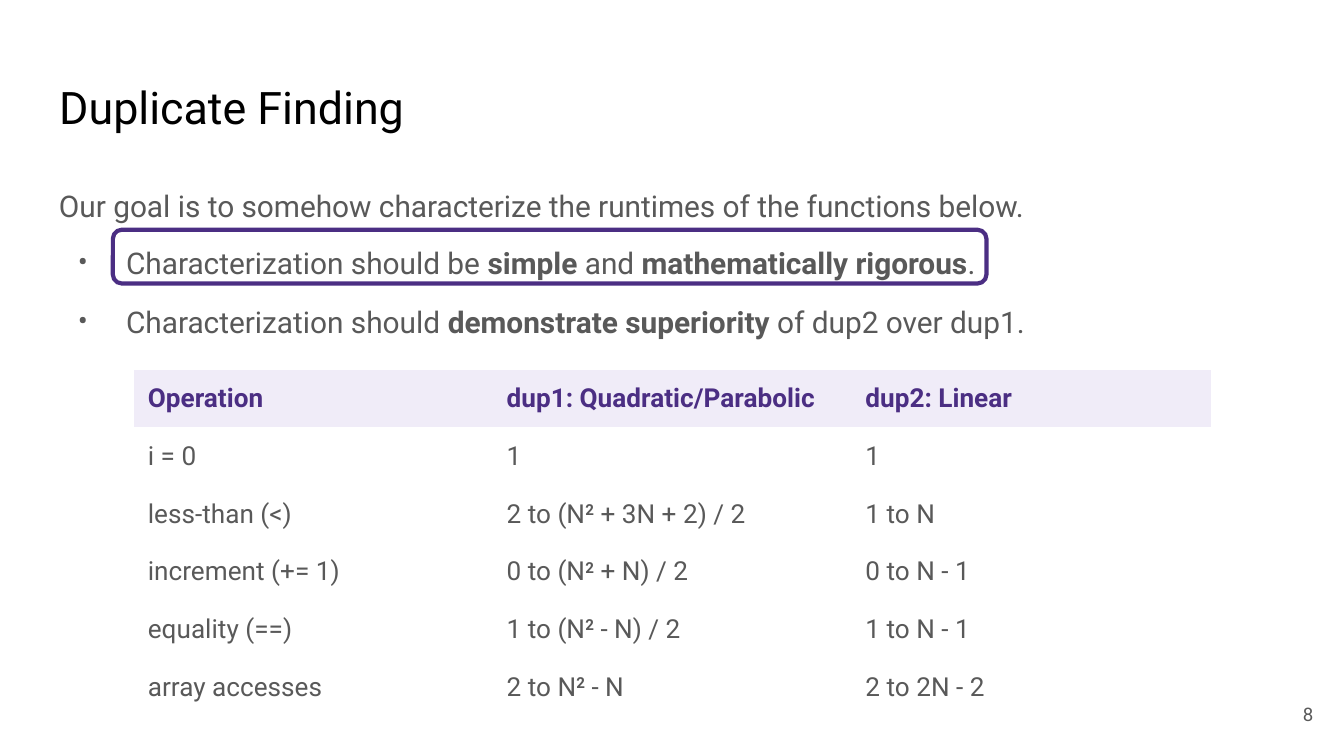
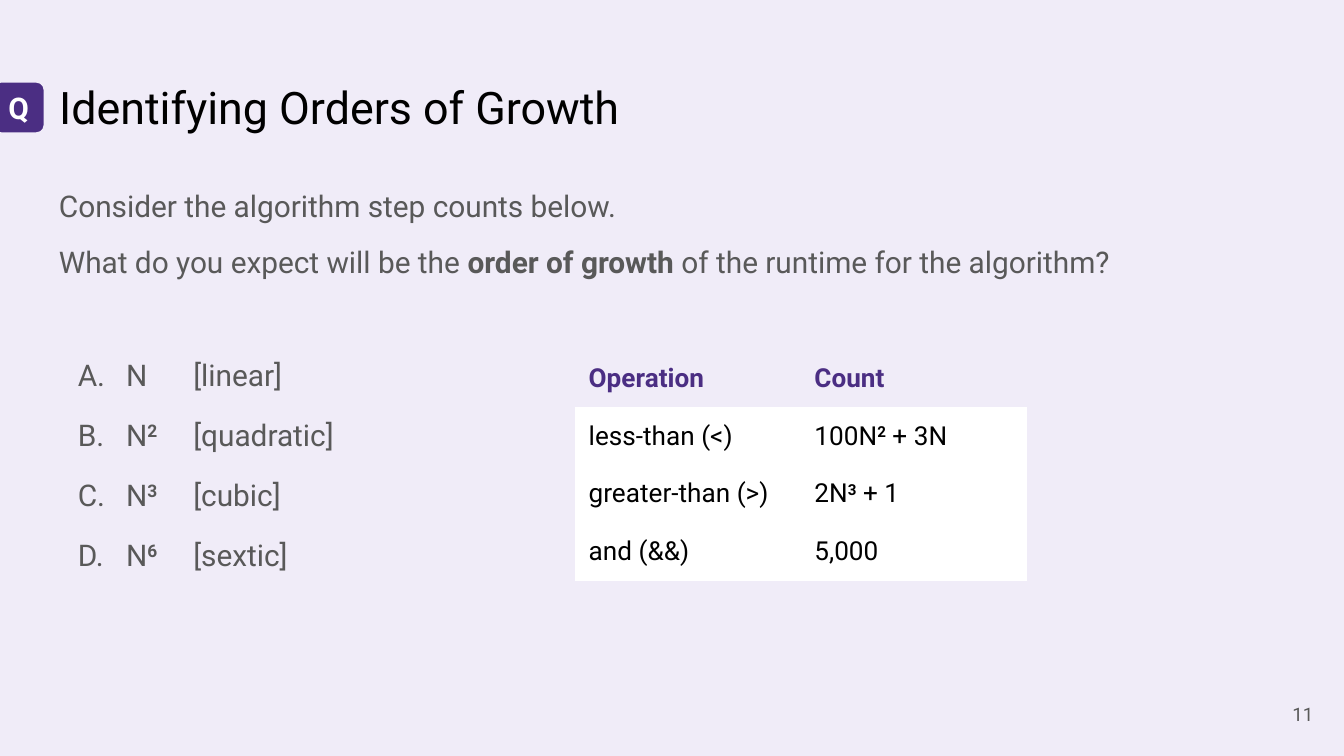
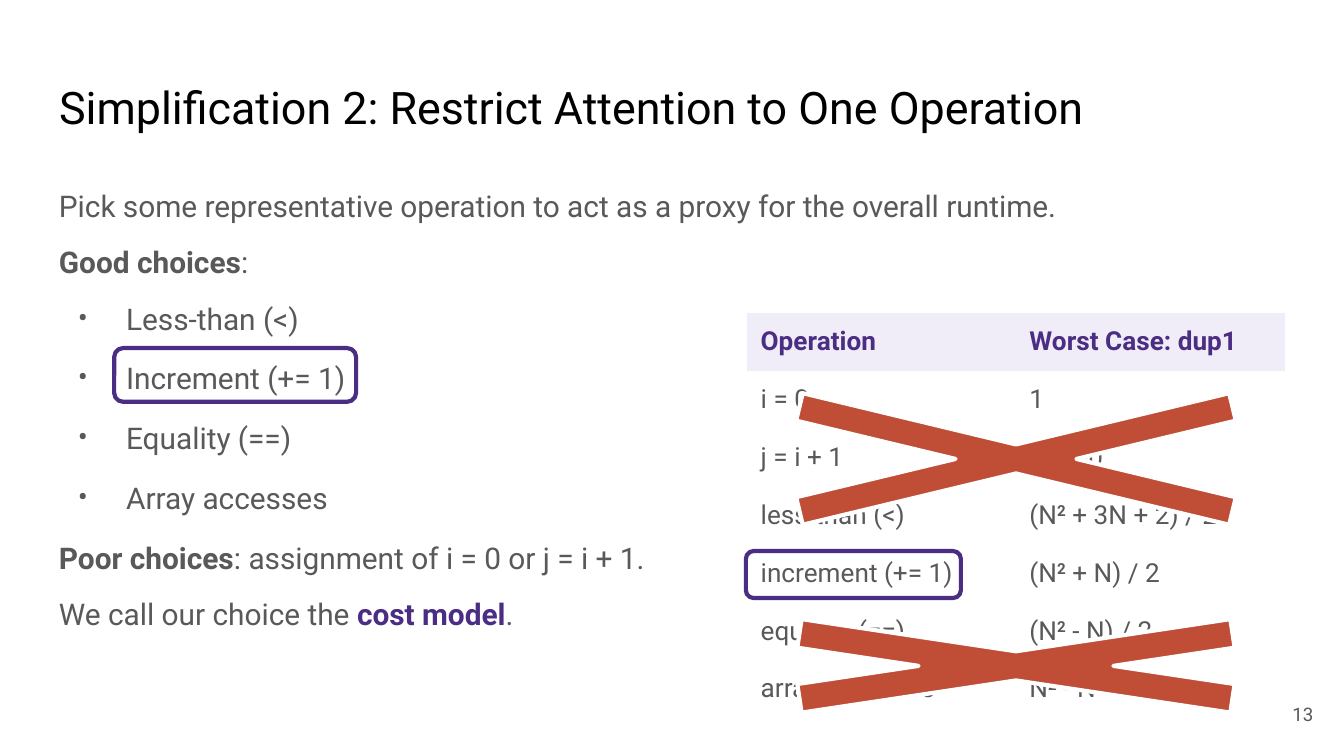
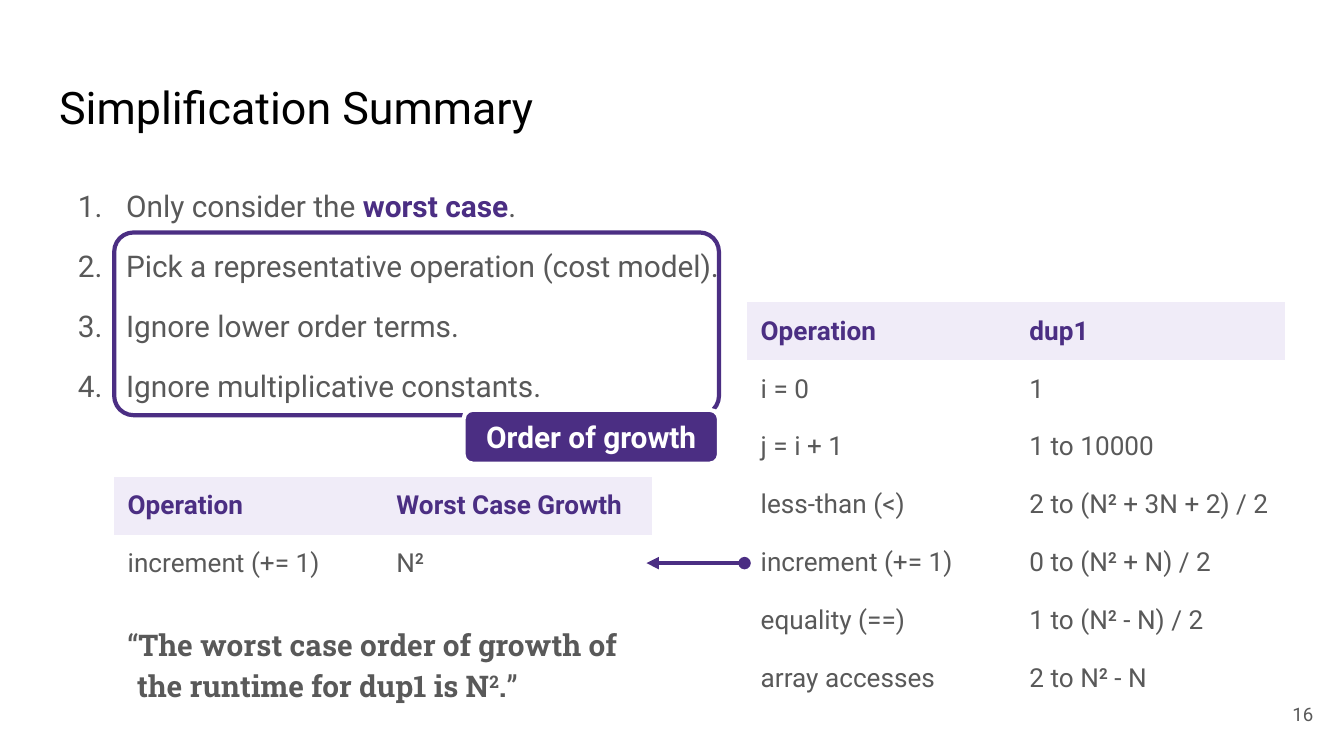
"""Build four slides on characterizing runtimes and orders of growth."""
import itertools
from dataclasses import dataclass
from typing import Optional

import lxml.etree
import pptx
import pptx.dml.color
import pptx.enum.shapes
import pptx.enum.text
import pptx.oxml.ns
import pptx.util

Inches = pptx.util.Inches
Pt = pptx.util.Pt
qn = pptx.oxml.ns.qn
Anchor = pptx.enum.text.MSO_ANCHOR
Align = pptx.enum.text.PP_ALIGN
Preset = pptx.enum.shapes.MSO_SHAPE

COLORS = {
    "purple": "4B2E83",
    "lavender": "F0ECF8",
    "white": "FFFFFF",
    "black": "000000",
    "gray": "595959",
    "red": "C04E36",
}
FONT = "Roboto"
QUOTE_FONT = "Roboto Slab"
PLAIN_STYLE = "{2D5ABB26-0587-4C30-8999-92F81FD0307C}"
ROW_HEIGHT = 0.43
INSET = 0.1
BULLET = ("a:buChar", {"char": "•"})
LETTER = ("a:buAutoNum", {"type": "alphaUcPeriod"})
NUMBER = ("a:buAutoNum", {"type": "arabicPeriod"})


@dataclass
class Box:
    left: float
    top: float
    width: float
    height: float

    def lengths(self) -> list:
        return [Inches(v) for v in (self.left, self.top, self.width, self.height)]


@dataclass
class TextStyle:
    size: float = 16
    color: str = "gray"
    bold: bool = False
    font: str = FONT


@dataclass
class Line:
    markup: str
    marker: Optional[tuple] = None
    before: Optional[float] = None


@dataclass
class Grid:
    left: float
    top: float
    column: float
    rows: list
    color: str = "gray"


@dataclass
class Panel:
    box: Box
    preset: int = Preset.ROUNDED_RECTANGLE
    bend: float = 0.167
    fill: Optional[str] = None
    line: str = "purple"
    label: str = ""


def rgb(name: str) -> pptx.dml.color.RGBColor:
    return pptx.dml.color.RGBColor.from_string(COLORS[name])


def write(paragraph, markup: str, style: TextStyle) -> None:
    """Add runs, where * marks bold, ~ bold accent and ^ bold superscript."""
    mode = ""
    for is_mark, chars in itertools.groupby(markup, lambda char: char in "*~^"):
        for piece in (chars if is_mark else ["".join(chars)]):
            if is_mark:
                mode = "" if mode == piece else piece
                continue
            run = paragraph.add_run()
            run.text = piece
            run.font.name = style.font
            run.font.size = Pt(style.size)
            run.font.bold = style.bold or bool(mode)
            run.font.color.rgb = rgb("purple" if mode == "~" else style.color)
            if mode == "^":
                run.font._element.set("baseline", "30000")


def prepare(frame, anchor=Anchor.TOP) -> None:
    frame.word_wrap = True
    frame.auto_size = pptx.enum.text.MSO_AUTO_SIZE.NONE
    frame.vertical_anchor = anchor
    frame.margin_left = frame.margin_right = Inches(INSET)
    frame.margin_top = frame.margin_bottom = Inches(INSET)


def indent(paragraph, left: float, first: float) -> None:
    properties = paragraph._p.get_or_add_pPr()
    properties.set("marL", str(Inches(left)))
    properties.set("indent", str(Inches(first)))


def add_marker(paragraph, marker: tuple) -> None:
    indent(paragraph, 0.5, -0.36)
    properties = paragraph._p.get_or_add_pPr()
    tint = lxml.etree.SubElement(properties, qn("a:buClr"))
    lxml.etree.SubElement(tint, qn("a:srgbClr"), val=COLORS["gray"])
    lxml.etree.SubElement(properties, qn("a:buFont"), typeface=FONT)
    tag, attributes = marker
    lxml.etree.SubElement(properties, qn(tag), attributes)


def add_text(slide, box: Box, anchor=Anchor.TOP):
    frame = slide.shapes.add_textbox(*box.lengths()).text_frame
    prepare(frame, anchor)
    return frame


def add_body(slide, height: float, lines: list[Line]) -> None:
    frame = add_text(slide, Box(0.34, 1.26, 9.32, height))
    previous = None
    for line in lines:
        paragraph = frame.add_paragraph() if previous else frame.paragraphs[0]
        if line.marker:
            add_marker(paragraph, line.marker)
        paragraph.line_spacing = 1.15
        if previous:
            paragraph.space_before = Pt(line.before or (10 if previous.marker else 8))
        write(paragraph, line.markup, TextStyle())
        previous = line


def add_grid(slide, grid: Grid) -> None:
    rows, columns = len(grid.rows), len(grid.rows[0])
    box = Box(grid.left, grid.top, grid.column * columns, ROW_HEIGHT * rows)
    table = slide.shapes.add_table(rows, columns, *box.lengths()).table
    table.first_row = table.horz_banding = False
    table._tbl.tblPr.find(qn("a:tableStyleId")).text = PLAIN_STYLE
    for column in table.columns:
        column.width = Inches(grid.column)
    header = TextStyle(14, "purple", True)
    for index, entries in enumerate(grid.rows):
        table.rows[index].height = Inches(ROW_HEIGHT)
        for cell, markup in zip(table.rows[index].cells, entries):
            cell.margin_left = cell.margin_right = Inches(INSET)
            cell.margin_top = cell.margin_bottom = Inches(INSET)
            cell.fill.solid()
            cell.fill.fore_color.rgb = rgb("white" if index else "lavender")
            style = TextStyle(14, grid.color) if index else header
            write(cell.text_frame.paragraphs[0], markup, style)


def add_panel(slide, panel: Panel) -> None:
    shape = slide.shapes.add_shape(panel.preset, *panel.box.lengths())
    shape.shadow.inherit = False
    shape.adjustments[0] = panel.bend
    if panel.fill:
        shape.fill.solid()
        shape.fill.fore_color.rgb = rgb(panel.fill)
    else:
        shape.fill.background()
    shape.line.color.rgb = rgb(panel.line)
    shape.line.width = Pt(2.25)
    if panel.label:
        prepare(shape.text_frame, Anchor.MIDDLE)
        paragraph = shape.text_frame.paragraphs[0]
        paragraph.alignment = Align.CENTER
        write(paragraph, panel.label, TextStyle(16, "white", True))


def add_arrow(slide, start: tuple, end: tuple) -> None:
    arrow = slide.shapes.add_connector(
        pptx.enum.shapes.MSO_CONNECTOR.STRAIGHT,
        *[Inches(v) for v in (*start, *end)])
    arrow.line.color.rgb = rgb("purple")
    arrow.line.width = Pt(2.25)
    properties = arrow._element.spPr
    stroke = properties.find(qn("a:ln"))
    lxml.etree.SubElement(stroke, qn("a:headEnd"), type="oval")
    lxml.etree.SubElement(stroke, qn("a:tailEnd"), type="triangle")
    lxml.etree.SubElement(properties, qn("a:effectLst"))


def add_slide(deck, title: str, number: int, background: str = "white"):
    slide = deck.slides.add_slide(deck.slide_layouts[5])
    slide.background.fill.solid()
    slide.background.fill.fore_color.rgb = rgb(background)
    heading = slide.shapes.title
    heading.left, heading.top, heading.width, heading.height = Box(
        0.34, 0.49, 9.32, 0.63).lengths()
    prepare(heading.text_frame)
    paragraph = heading.text_frame.paragraphs[0]
    paragraph.alignment = Align.LEFT
    write(paragraph, title, TextStyle(24, "black"))
    footer = add_text(slide, Box(9.27, 5.1, 0.6, 0.43), Anchor.MIDDLE).paragraphs[0]
    footer.alignment = Align.RIGHT
    write(footer, str(number), TextStyle(10))
    return slide


def duplicate_finding(deck) -> None:
    slide = add_slide(deck, "Duplicate Finding", 8)
    add_grid(slide, Grid(1, 2.75, 2.67, [
        ("Operation", "dup1: Quadratic/Parabolic", "dup2: Linear"),
        ("i = 0", "1", "1"),
        ("less-than (<)", "2 to (N^2^ + 3N + 2) / 2", "1 to N"),
        ("increment (+= 1)", "0 to (N^2^ + N) / 2", "0 to N - 1"),
        ("equality (==)", "1 to (N^2^ - N) / 2", "1 to N - 1"),
        ("array accesses", "2 to N^2^ - N", "2 to 2N - 2"),
    ]))
    add_body(slide, 1.35, [
        Line("Our goal is to somehow characterize the runtimes of the functions below."),
        Line("Characterization should be *simple* and *mathematically rigorous*.", BULLET),
        Line("Characterization should *demonstrate superiority* of dup2 over dup1.", BULLET),
    ])
    add_panel(slide, Panel(Box(0.84, 1.71, 6.5, 0.4)))


def identifying_growth(deck) -> None:
    slide = add_slide(deck, "Identifying Orders of Growth", 11, "lavender")
    add_body(slide, 3.1, [
        Line("Consider the algorithm step counts below."),
        Line("What do you expect will be the *order of growth* of the runtime "
             "for the algorithm?"),
        Line("N\t[linear]", LETTER, 38.5),
        Line("N^2\t^[quadratic]", LETTER),
        Line("N^3^\t[cubic]", LETTER),
        Line("N^6^\t[sextic]", LETTER),
    ])
    add_panel(slide, Panel(Box(-0.06, 0.6, 0.4, 0.4), fill="purple",
                           line="lavender", label="Q"))
    add_grid(slide, Grid(4.28, 2.6, 1.68, [
        ("Operation", "Count"),
        ("less-than (<)", "100N^2^ + 3N"),
        ("greater-than (>)", "2N^3^ + 1"),
        ("and (&&)", "5,000"),
    ], "black"))


def one_operation(deck) -> None:
    slide = add_slide(deck, "Simplification 2: Restrict Attention to One Operation", 13)
    add_body(slide, 3.84, [
        Line("Pick some representative operation to act as a proxy for the "
             "overall runtime."),
        Line("*Good choices*:"),
        Line("Less-than (<)", BULLET),
        Line("Increment (+= 1)", BULLET),
        Line("Equality (==)", BULLET),
        Line("Array accesses", BULLET),
        Line("*Poor choices*: assignment of i = 0 or j = i + 1."),
        Line("We call our choice the ~cost model~."),
    ])
    add_grid(slide, Grid(5.56, 2.33, 2, [
        ("Operation", "Worst Case: dup1"),
        ("i = 0", "1"),
        ("j = i + 1", "10000"),
        ("less-than (<)", "(N^2^ + 3N + 2) / 2"),
        ("increment (+= 1)", "(N^2^ + N) / 2"),
        ("equality (==)", "(N^2^ - N) / 2"),
        ("array accesses", "N^2^ - N"),
    ]))
    for top, height, thickness in ((2.67, 1.49, 0.141), (4.49, 0.93, 0.231)):
        add_panel(slide, Panel(Box(4.46, top, 6.2, height), Preset.MATH_MULTIPLY,
                               thickness, "red", "white"))
    for choice in (Box(0.85, 2.59, 1.8, 0.4), Box(5.55, 4.1, 1.6, 0.35)):
        add_panel(slide, Panel(choice))


def simplification_summary(deck) -> None:
    slide = add_slide(deck, "Simplification Summary", 16)
    add_body(slide, 1.86, [
        Line("Only consider the ~worst case~.", NUMBER),
        Line("Pick a representative operation (cost model).", NUMBER),
        Line("Ignore lower order terms.", NUMBER),
        Line("Ignore multiplicative constants.", NUMBER),
    ])
    add_grid(slide, Grid(5.56, 2.25, 2, [
        ("Operation", "dup1"),
        ("i = 0", "1"),
        ("j = i + 1", "1 to 10000"),
        ("less-than (<)", "2 to (N^2^ + 3N + 2) / 2"),
        ("increment (+= 1)", "0 to (N^2^ + N) / 2"),
        ("equality (==)", "1 to (N^2^ - N) / 2"),
        ("array accesses", "2 to N^2^ - N"),
    ]))
    add_panel(slide, Panel(Box(0.85, 1.73, 4.5, 1.36), bend=0.106))
    add_panel(slide, Panel(Box(3.45, 3.05, 1.9, 0.4), fill="purple",
                           line="white", label="Order of growth"))
    add_grid(slide, Grid(0.85, 3.55, 2, [
        ("Operation", "Worst Case Growth"),
        ("increment (+= 1)", "N^2^"),
    ]))
    add_arrow(slide, (5.54, 4.19), (4.81, 4.19))
    quote = add_text(slide, Box(0.85, 4.52, 4, 0.75)).paragraphs[0]
    indent(quote, 0.07, -0.07)
    quote.line_spacing = 1.15
    write(quote, "“*The worst case order of growth of the runtime for dup1 is N*"
          "^2^*.*”", TextStyle(font=QUOTE_FONT))


def main() -> None:
    deck = pptx.Presentation()
    deck.slide_width = Inches(10)
    deck.slide_height = deck.slide_width * 9 // 16
    duplicate_finding(deck)
    identifying_growth(deck)
    one_operation(deck)
    simplification_summary(deck)
    deck.save("out.pptx")


if __name__ == "__main__":
    main()
